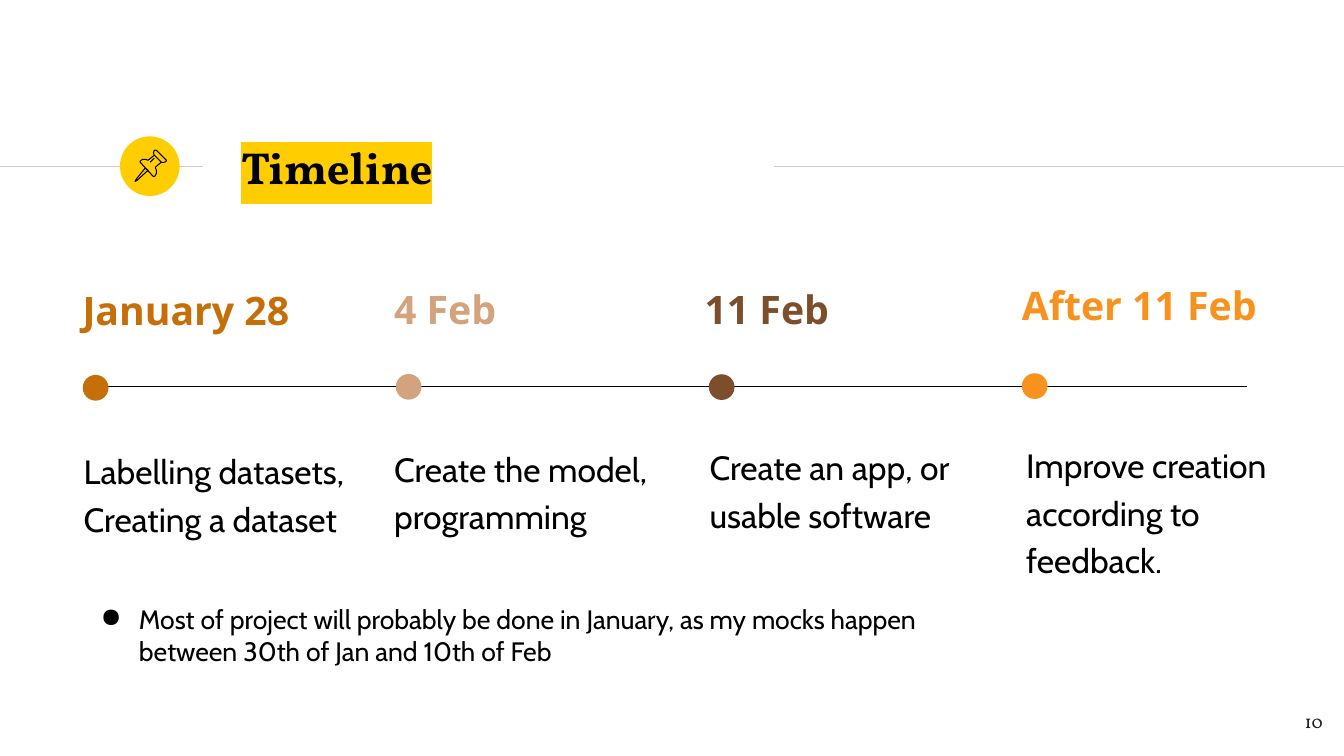
import pptx
import pptx.util
import pptx.dml.color
import pptx.enum.shapes
import pptx.enum.text
import pptx.oxml
import pptx.oxml.ns

Pt = pptx.util.Pt
RGB = pptx.dml.color.RGBColor.from_string
ALIGN = pptx.enum.text.PP_ALIGN
ANCHOR = pptx.enum.text.MSO_ANCHOR
FIT = pptx.enum.text.MSO_AUTO_SIZE
SHAPE = pptx.enum.shapes.MSO_SHAPE

TITLE = "Timeline"
PAGE = "10"
REMARK = ("Most of project will probably be done in January, as my mocks happen "
          "between 30th of Jan and 10th of Feb")
# date, colour, date position, dot top, task lines, task position
STEPS = [
    ("January 28", "C66E07", (59, 198), 267.8,
     ["Labelling datasets,", "Creating a dataset"], (59.8, 317.5)),
    ("4 Feb", "D3A37E", (281.5, 197.3), 267.1,
     ["Create the model, programming"], (281.5, 316)),
    ("11 Feb", "7D4E2B", (503.3, 197.3), 267.3,
     ["Create an app, or usable software"], (506.9, 314.6)),
    ("After 11 Feb", "F6921D", (730, 194.4), 266.6,
     ["Improve creation according to feedback."], (733, 313.2)),
]
PIN = {  # part: (points, closed)
    "needle": ([(103.7, 120.2), (97.2, 128.2), (96.5, 129.6), (97.9, 128.9),
                (105.8, 121.7)], True),
    "cap": ([(110.2, 110.9), (115.2, 115.9), (116.6, 116.1), (118.1, 115.7),
             (118.8, 115), (118.8, 114.4), (111.6, 107.3), (110.9, 107.2),
             (110.2, 107.6), (109.6, 109.1)], True),
    "body": ([(110.2, 110.9), (105.8, 114.5), (103.7, 113.8), (101.5, 114),
              (100.1, 115.2), (100.1, 115.9), (109.4, 126), (110.2, 126.2),
              (110.9, 125.6), (111.7, 123.8), (111.7, 121.7), (110.9, 119.5),
              (115.2, 115.9)], False),
    "shine": ([(107.3, 115.9), (110.2, 113)], False),
}

THEME = {
    "accent": "FFCD00", "rule": "CCCCCC", "ink": "000000",
    "title": dict(name="Vollkorn", size=Pt(32), bold=True),
    "page": dict(name="Vollkorn", size=Pt(13.3)), "page_ink": "1D1D1B",
    "date": dict(name="Noto Sans", size=Pt(28), bold=True),
    "task": dict(name="Cabin", size=Pt(24)),
    "remark": dict(name="Cabin", size=Pt(19)),
}
DOT, DOT_LEFT, DOT_PITCH = 18.4, 59.1, 223.6


def apply(target, **values):
    for key, value in values.items():
        setattr(target, key, value)


def fill_text(sp, lines, font, color, inset=0, paragraph=None, **frame):
    tf = sp.text_frame
    sides = ("margin_left", "margin_top", "margin_right", "margin_bottom")
    apply(tf, word_wrap=True, **dict.fromkeys(sides, Pt(inset)), **frame)
    for i, line in enumerate(lines):
        p = tf.add_paragraph() if i else tf.paragraphs[0]
        apply(p, **(paragraph or {}))
        r = p.add_run()
        r.text = line
        apply(r.font, **font)
        r.font.color.rgb = RGB(color)
    return tf.paragraphs[0]


def add_text(slide, box, *args, **kwargs):
    sp = slide.shapes.add_textbox(*map(Pt, box))
    return fill_text(sp, *args, **kwargs)


def color_element(tag, color):
    return pptx.oxml.parse_xml(
        f'<a:{tag} {pptx.oxml.ns.nsdecls("a")}><a:srgbClr val="{color}"/></a:{tag}>')


def add_rule(slide, x1, x2, y, color):
    line = slide.shapes.add_connector(
        pptx.enum.shapes.MSO_CONNECTOR.STRAIGHT, Pt(x1), Pt(y), Pt(x2), Pt(y))
    line.line.color.rgb = RGB(color)
    line.line.width = Pt(0.75)
    line._element.spPr.append(
        pptx.oxml.parse_xml(f'<a:effectLst {pptx.oxml.ns.nsdecls("a")}/>'))


def add_disc(slide, x, y, size, color):
    sp = slide.shapes.add_shape(SHAPE.OVAL, Pt(x), Pt(y), Pt(size), Pt(size))
    sp.shadow.inherit = False
    sp.fill.solid()
    sp.fill.fore_color.rgb = RGB(color)
    sp.line.fill.background()


def add_pin(slide):
    for points, closed in PIN.values():
        start, *rest = [(Pt(x), Pt(y)) for x, y in points]
        builder = slide.shapes.build_freeform(*start)
        builder.add_line_segments(rest, close=closed)
        sp = builder.convert_to_shape()
        sp.shadow.inherit = False
        sp.fill.background()
        sp.line.color.rgb = RGB(THEME["ink"])
        sp.line.width = Pt(0.75)


def add_header(slide):
    add_rule(slide, 0, 144.7, 118.8, THEME["rule"])
    add_disc(slide, 85.7, 97.4, 42.6, THEME["accent"])
    add_rule(slide, 553, 960, 118.8, THEME["rule"])
    title = slide.shapes.title
    apply(title, left=Pt(162.7), top=Pt(95.8), width=Pt(603.4), height=Pt(46))
    p = fill_text(title, [TITLE], THEME["title"], THEME["ink"], inset=9.6,
                  paragraph=dict(alignment=ALIGN.LEFT),
                  vertical_anchor=ANCHOR.MIDDLE, auto_size=FIT.NONE)
    fill = p.runs[0]._r.rPr.find(pptx.oxml.ns.qn("a:solidFill"))
    fill.addnext(color_element("highlight", THEME["accent"]))
    add_pin(slide)


def add_timeline(slide):
    add_rule(slide, 59.8, 890.6, 275.8, THEME["ink"])
    for i, (date, color, date_at, dot_top, task, task_at) in enumerate(STEPS):
        add_text(slide, (*date_at, 175.7, 33.8), [date], THEME["date"], color,
                 paragraph=dict(line_spacing=1.2), auto_size=FIT.SHAPE_TO_FIT_TEXT)
        add_disc(slide, DOT_LEFT + i * DOT_PITCH, dot_top, DOT, color)
        add_text(slide, (*task_at, 193, 63.4), task, THEME["task"], THEME["ink"],
                 paragraph=dict(line_spacing=1.17), auto_size=FIT.SHAPE_TO_FIT_TEXT)


def add_remark(slide):
    p = add_text(slide, (56.2, 423.4, 607.7, 60.5), [REMARK], THEME["remark"],
                 THEME["ink"], inset=7.2, auto_size=FIT.SHAPE_TO_FIT_TEXT)
    pPr = p._p.get_or_add_pPr()
    pPr.set("marL", str(Pt(36)))
    pPr.set("indent", str(-Pt(27.4)))
    pPr.append(color_element("buClr", THEME["ink"]))
    pPr.append(pptx.oxml.parse_xml(
        f'<a:buChar {pptx.oxml.ns.nsdecls("a")} char="●"/>'))


def main():
    prs = pptx.Presentation()
    apply(prs, slide_width=Pt(960), slide_height=Pt(540))
    slide = prs.slides.add_slide(prs.slide_layouts[5])
    add_header(slide)
    add_text(slide, (897, 499, 57.6, 41), [PAGE], THEME["page"], THEME["page_ink"],
             inset=9.6, paragraph=dict(alignment=ALIGN.RIGHT))
    add_timeline(slide)
    add_remark(slide)
    prs.save("out.pptx")


if __name__ == "__main__":
    main()
